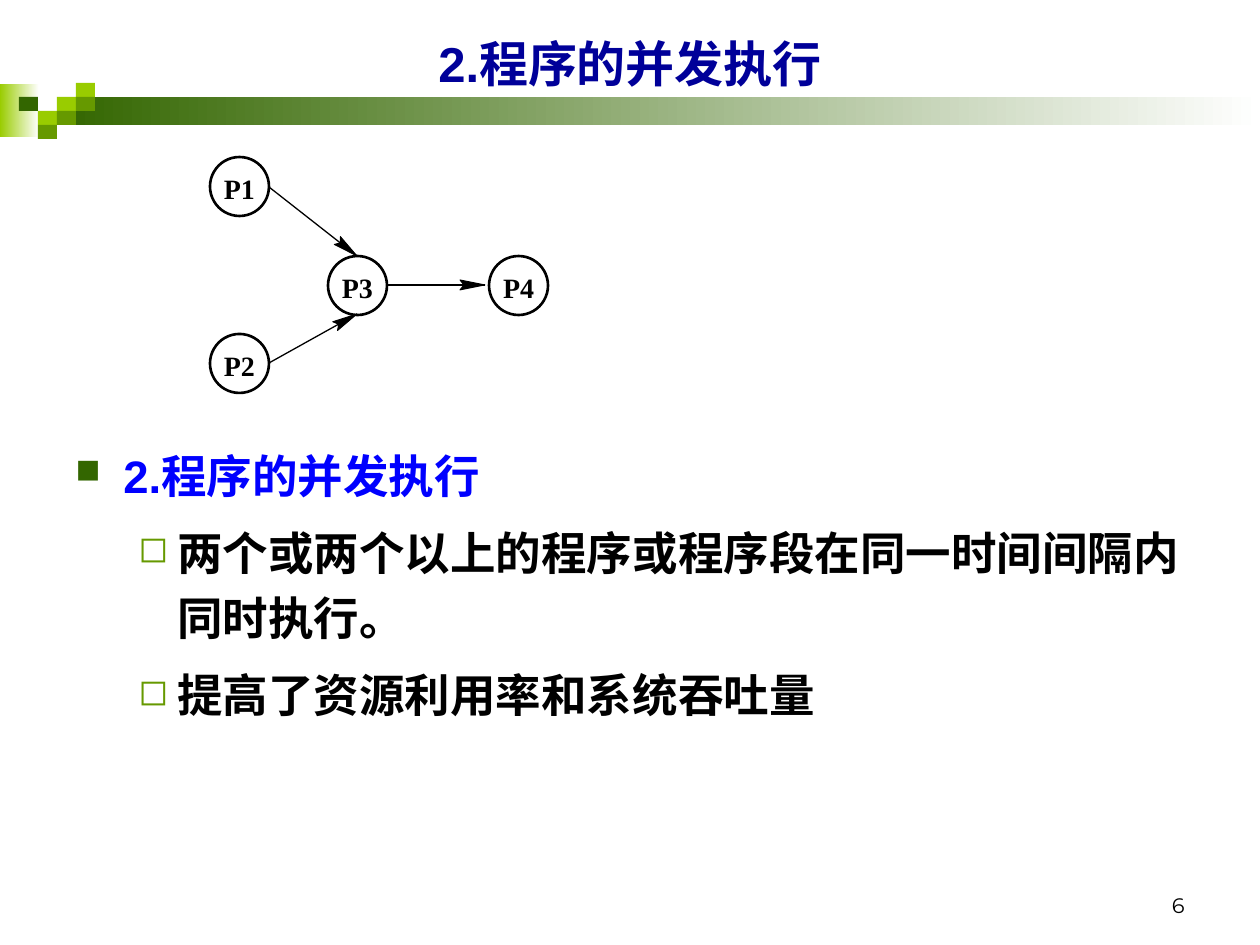
import math

from lxml import etree
from pptx import Presentation
from pptx import util as u
from pptx.dml.color import RGBColor
from pptx.enum import lang, shapes, text
from pptx.oxml.ns import qn

SCALE = 914400 / 126
HEADING = "2.程序的并发执行"
BULLETS = [
    (HEADING, 0, "0000FF", "■", "336600", 75, 48, 48),
    ("两个或两个以上的程序或程序段在同一时间间隔内同时执行。", 1, "000000", "◻", "669900", 80, 102, 39),
    ("提高了资源利用率和系统吞吐量", 1, "000000", "◻", "669900", 80, 102, 39),
]
MOSAIC = [
    (3, 1, "99CC00"), (4, 0, "99CC00"), (4, 1, "669900"), (2, 2, "99CC00"),
    (1, 1, "336600"), (3, 2, "669900"), (2, 3, "669900"),
]
PROCESSES = {"P1": (210, 157), "P2": (210, 334), "P3": (328, 256), "P4": (489, 256)}
DEPENDENCIES = [
    ((269, 187), (357, 256), 0.75),
    ((269, 363), (357, 314), 0.75),
    ((387, 285), (485, 285), 1),
]


def px(length):
    """Turn pixels into EMU."""
    return u.Emu(round(length * SCALE))


def color(value):
    """Turn a hex string into a colour."""
    return RGBColor.from_string(value)


def apply(target, values):
    """Set every attribute named in a dict of format values."""
    for name, value in values.items():
        setattr(target, name, value)


def write(paragraph, words, size, font, ink, bold=True):
    """Add one formatted run to a paragraph."""
    run = paragraph.add_run()
    run.text = words
    apply(run.font, {"size": u.Pt(size), "name": font, "bold": bold,
                     "language_id": lang.MSO_LANGUAGE_ID.SIMPLIFIED_CHINESE})
    run.font.color.rgb = color(ink)
    return run


def add_block(slide, box, *fills):
    """Add a borderless rectangle with a solid fill or a sideways gradient."""
    block = slide.shapes.add_shape(shapes.MSO_SHAPE.RECTANGLE, *map(px, box))
    block.shadow.inherit = False
    block.line.fill.background()
    if len(fills) == 1:
        block.fill.solid()
        block.fill.fore_color.rgb = color(fills[0])
        return
    block.fill.gradient()
    block.fill.gradient_angle = 0
    for stop, shade in zip(block.fill.gradient_stops, fills):
        stop.color.rgb = color(shade)


def add_banner(slide):
    """Add the green band and its mosaic of squares."""
    add_block(slide, (0, 84, 39, 53), "99CC00", "FFFFFF")
    add_block(slide, (57, 97, 1203, 28), "336600", "FFFFFF")
    for column, row, shade in MOSAIC:
        add_block(slide, (19 * column, 83 + 14 * row, 19, 14), shade)


def add_title(slide):
    """Place and format the title placeholder."""
    title = slide.shapes.title
    apply(title, dict(zip(("left", "top", "width", "height"), map(px, (63, 21, 1134, 84)))))
    title.text_frame.vertical_anchor = text.MSO_ANCHOR.MIDDLE
    paragraph = title.text_frame.paragraphs[0]
    paragraph.alignment = text.PP_ALIGN.CENTER
    write(paragraph, HEADING, 28, "Arial", "000099")


def add_page_number(slide):
    """Add the page number at the lower right."""
    frame = slide.shapes.add_textbox(*map(px, (903, 861, 294, 63))).text_frame
    apply(frame, {"word_wrap": True, "vertical_anchor": text.MSO_ANCHOR.BOTTOM})
    frame.paragraphs[0].alignment = text.PP_ALIGN.RIGHT
    write(frame.paragraphs[0], "6", 12, "Montserrat", "000000", bold=False)


def set_bullet(paragraph, mark, ink, percent, margin, hanging):
    """Give a paragraph a coloured bullet and a hanging indent."""
    properties = paragraph._p.get_or_add_pPr()
    properties.set("marL", str(px(margin)))
    properties.set("indent", str(px(-hanging)))
    shade = etree.SubElement(properties, qn("a:buClr"))
    etree.SubElement(shade, qn("a:srgbClr"), val=ink)
    etree.SubElement(properties, qn("a:buSzPct"), val=str(percent * 1000))
    etree.SubElement(properties, qn("a:buChar"), char=mark)


def add_bullets(slide):
    """Add the heading bullet and its two points."""
    frame = slide.shapes.add_textbox(*map(px, (63, 431, 1134, 441))).text_frame
    frame.word_wrap = True
    for index, (words, level, ink, *bullet) in enumerate(BULLETS):
        paragraph = frame.add_paragraph() if index else frame.paragraphs[0]
        set_bullet(paragraph, *bullet)
        apply(paragraph, {"level": level, "line_spacing": 1.2,
                          "space_before": u.Pt(6.5 if index else 0)})
        write(paragraph, words, 26, "Arial", ink)


def add_process(slide, label, corner):
    """Add a labelled process circle."""
    circle = slide.shapes.add_shape(shapes.MSO_SHAPE.OVAL, *map(px, (*corner, 59, 59)))
    circle.shadow.inherit = False
    circle.fill.solid()
    circle.fill.fore_color.rgb = color("FFFFFF")
    circle.line.color.rgb = color("000000")
    circle.line.width = u.Pt(1.5)
    apply(circle.text_frame, {"word_wrap": False, "vertical_anchor": text.MSO_ANCHOR.MIDDLE,
                              "margin_left": 0, "margin_right": 0,
                              "margin_top": px(3), "margin_bottom": 0})
    paragraph = circle.text_frame.paragraphs[0]
    paragraph.alignment = text.PP_ALIGN.CENTER
    write(paragraph, label, 16, "Times New Roman", "000000")


def add_dependency(slide, start, tip, weight):
    """Add a line with a slim notched arrowhead at its tip."""
    line = slide.shapes.add_connector(shapes.MSO_CONNECTOR.STRAIGHT, *map(px, (*start, *tip)))
    etree.SubElement(line._element.spPr, qn("a:effectLst"))
    line.line.color.rgb = color("000000")
    line.line.width = u.Pt(weight)

    angle = math.atan2(tip[1] - start[1], tip[0] - start[0])
    along, across = math.cos(angle), math.sin(angle)
    corners = [(px(tip[0] - back * along - side * across), px(tip[1] - back * across + side * along))
               for back, side in ((0, 0), (25, 5), (21, 0), (25, -5))]
    outline = slide.shapes.build_freeform(*corners[0])
    outline.add_line_segments(corners[1:], close=True)
    head = outline.convert_to_shape()
    head.shadow.inherit = False
    head.fill.solid()
    head.fill.fore_color.rgb = color("000000")
    head.line.color.rgb = color("000000")
    head.line.width = u.Pt(0.5)


def main():
    """Build the slide and save it."""
    deck = Presentation()
    apply(deck, {"slide_width": px(1260), "slide_height": px(945)})
    slide = deck.slides.add_slide(deck.slide_layouts[5])
    add_banner(slide)
    add_title(slide)
    add_page_number(slide)
    add_bullets(slide)
    for label, corner in PROCESSES.items():
        add_process(slide, label, corner)
    for dependency in DEPENDENCIES:
        add_dependency(slide, *dependency)
    deck.save("out.pptx")


if __name__ == "__main__":
    main()
